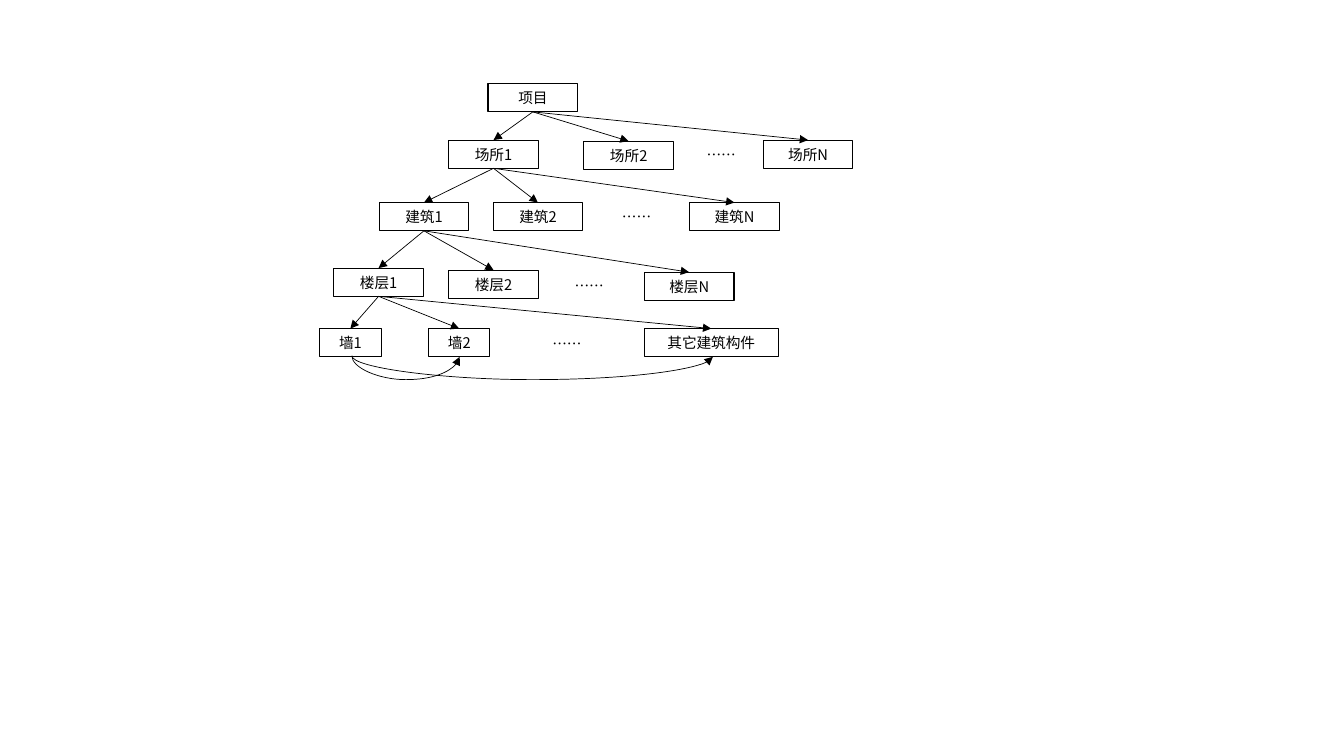
import pptx
import pptx.dml.color
import pptx.enum.shapes
import pptx.enum.text
import pptx.oxml.ns
import pptx.util
from lxml import etree
from pptx.util import Inches

FONT = "Noto Sans CJK SC"
BLACK = "000000"
BOX_HEIGHT = 0.28
BOX_WIDTH = 0.89

# Each level: boxes as (text, left, top, width); the first box is the parent of the next level
LEVELS = [
    [("项目", 4.84, 0.83, BOX_WIDTH)],
    [("场所1", 4.45, 1.39, BOX_WIDTH), ("场所2", 5.79, 1.4, BOX_WIDTH), ("场所N", 7.57, 1.39, BOX_WIDTH)],
    [("建筑1", 3.76, 2.01, BOX_WIDTH), ("建筑2", 4.89, 2.01, BOX_WIDTH), ("建筑N", 6.84, 2.01, BOX_WIDTH)],
    [("楼层1", 3.31, 2.66, BOX_WIDTH), ("楼层2", 4.45, 2.68, BOX_WIDTH), ("楼层N", 6.39, 2.7, BOX_WIDTH)],
    [("墙1", 3.17, 3.26, 0.61), ("墙2", 4.25, 3.26, 0.61), ("其它建筑构件", 6.39, 3.26, 1.33)],
]
# left, top, width
ELLIPSES = [(6.91, 1.39, 0.52), (6.07, 2.01, 0.52), (5.6, 2.69, 0.73), (5.38, 3.27, 0.73)]
# from x, to x
WALL_LINKS = [(3.49, 4.56), (3.49, 7.07)]
LINK_TOP = 3.53
LINK_DROP = 0.01
LINK_DEPTH = 0.24


def color(hex_value):
    return pptx.dml.color.RGBColor.from_string(hex_value)


def write(shape, text, alignment):
    frame = shape.text_frame
    frame.word_wrap = True
    frame.vertical_anchor = pptx.enum.text.MSO_ANCHOR.MIDDLE
    frame.margin_top = frame.margin_bottom = Inches(0.03)
    paragraph = frame.paragraphs[0]
    paragraph.alignment = alignment
    run = paragraph.add_run()
    run.text = text
    run.font.size = pptx.util.Pt(10.5)
    run.font.name = FONT
    run.font.color.rgb = color(BLACK)
    east_asian = etree.SubElement(run.font._element, pptx.oxml.ns.qn("a:ea"))
    east_asian.set("typeface", FONT)


def add_box(slide, text, left, top, width):
    box = slide.shapes.add_shape(
        pptx.enum.shapes.MSO_SHAPE.RECTANGLE,
        Inches(left), Inches(top), Inches(width), Inches(BOX_HEIGHT))
    box.shadow.inherit = False
    box.fill.background()
    box.line.color.rgb = color(BLACK)
    box.line.width = pptx.util.Pt(0.75)
    write(box, text, pptx.enum.text.PP_ALIGN.CENTER)
    return box


def style_arrow(connector):
    connector.line.color.rgb = color(BLACK)
    connector.line.width = pptx.util.Pt(0.5)
    line = connector.line._get_or_add_ln()
    etree.SubElement(line, pptx.oxml.ns.qn("a:tailEnd")).set("type", "triangle")
    etree.SubElement(connector._element.spPr, pptx.oxml.ns.qn("a:effectLst"))


def add_branch(slide, parent, child):
    connector = slide.shapes.add_connector(pptx.enum.shapes.MSO_CONNECTOR.STRAIGHT, 0, 0, 0, 0)
    connector.begin_connect(parent, 2)
    connector.end_connect(child, 0)
    style_arrow(connector)


def add_wall_link(slide, start, end):
    """Draw a curve that hangs below the walls: a curved connector turned by 270 degrees."""
    center_x = (start + end) / 2
    center_y = LINK_TOP + LINK_DROP / 2
    half_span = (end - start) / 2
    connector = slide.shapes.add_connector(
        pptx.enum.shapes.MSO_CONNECTOR.CURVE,
        Inches(center_x + LINK_DROP / 2), Inches(center_y - half_span),
        Inches(center_x - LINK_DROP / 2), Inches(center_y + half_span))
    properties = connector._element.spPr
    properties.find(pptx.oxml.ns.qn("a:xfrm")).set("rot", str(270 * 60000))
    adjustments = properties.find(".//" + pptx.oxml.ns.qn("a:avLst"))
    guide = etree.SubElement(adjustments, pptx.oxml.ns.qn("a:gd"))
    guide.set("name", "adj1")
    guide.set("fmla", f"val {round(LINK_DEPTH / LINK_DROP * 100000)}")
    style_arrow(connector)


def main():
    presentation = pptx.Presentation()
    presentation.slide_width = Inches(13.33)
    presentation.slide_height = Inches(7.5)
    slide = presentation.slides.add_slide(presentation.slide_layouts[6])

    levels = [[add_box(slide, *box) for box in level] for level in LEVELS]
    for parents, children in zip(levels, levels[1:]):
        for child in children:
            add_branch(slide, parents[0], child)
    for left, top, width in ELLIPSES:
        ellipsis = slide.shapes.add_textbox(
            Inches(left), Inches(top), Inches(width), Inches(BOX_HEIGHT))
        write(ellipsis, "……", pptx.enum.text.PP_ALIGN.LEFT)
    for start, end in WALL_LINKS:
        add_wall_link(slide, start, end)

    presentation.save("out.pptx")


if __name__ == "__main__":
    main()
